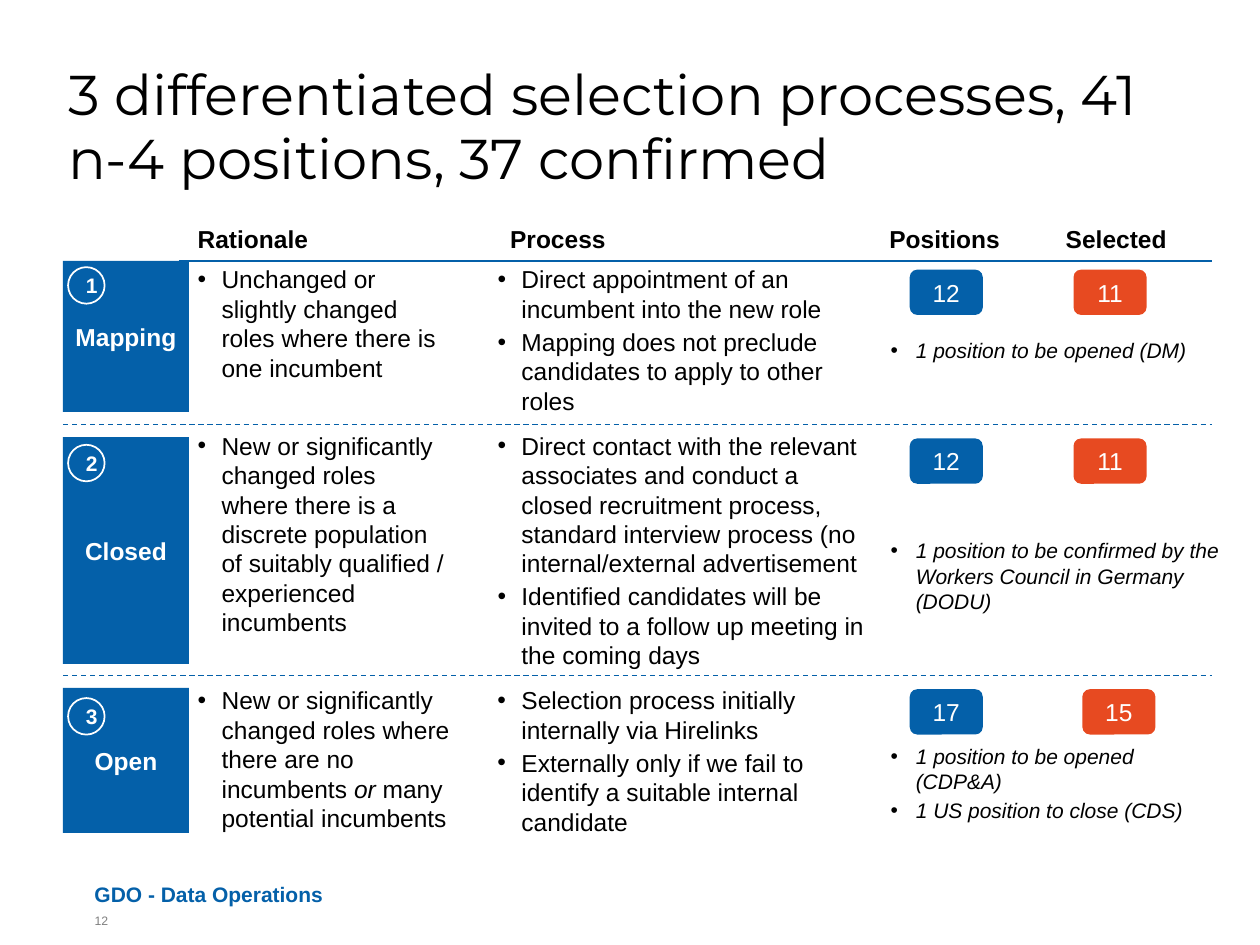
from collections import namedtuple

from lxml.etree import SubElement
from pptx import Presentation
from pptx.dml.color import RGBColor
from pptx.enum.dml import MSO_LINE_DASH_STYLE as Dash
from pptx.enum.shapes import MSO_CONNECTOR as Connector, MSO_SHAPE as Shape
from pptx.enum.text import MSO_ANCHOR as Anchor, MSO_AUTO_SIZE as AutoSize, PP_ALIGN as Align
from pptx.oxml.ns import qn
from pptx.util import Pt

SCALE = 9144  # EMU per px, 100 px to the inch
BLUE, ORANGE = "0460A9", "E74A21"
BLACK, WHITE, GREY = "000000", "FFFFFF", "7F7F7F"

# Column positions
LABEL_X, RATIONALE_X, PROCESS_X, NOTE_X = 50, 147, 385, 697
RULE_END = 962

HEADERS = [("Rationale", 147, 145), ("Process", 395, 169),
           ("Positions", 696, 112), ("Selected", 836, 112)]

# top, height and number_top place the blue label; note is (top, width, items)
Row = namedtuple("Row", "name top height number_top text_top rationale rationale_width "
                        "process process_width badge_top positions selected selected_x note")
ROWS = [
    Row("Mapping", 207, 120, 212, 205,
        ["Unchanged or slightly changed roles where there is one incumbent"], 217,
        ["Direct appointment of an incumbent into the new role",
         "Mapping does not preclude candidates to apply to other roles"], 289,
        214, "12", "11", 852,
        (263, 265, ["1 position to be opened (DM)"])),
    Row("Closed", 347, 180, 353, 337,
        ["New or significantly changed roles where there is a discrete population "
         "of suitably qualified / experienced incumbents"], 217,
        ["Direct contact with the relevant associates and conduct a closed recruitment "
         "process, standard interview process (no internal/external advertisement",
         "Identified candidates will be invited to a follow up meeting in the coming days"], 311,
        348, "12", "11", 852,
        (422, 287, ["1 position to be confirmed by the Workers Council in Germany (DODU)"])),
    Row("Open", 546, 115, 554, 539,
        ["New or significantly changed roles where there are no incumbents "
         "*or* many potential incumbents"], 221,
        ["Selection process initially internally via Hirelinks",
         "Externally only if we fail to identify a suitable internal candidate"], 323,
        547, "17", "15", 859,
        (585, 260, ["1 position to be opened (CDP&A)", "1 US position to close (CDS)"])),
]


def px(*lengths):
    return [length * SCALE for length in lengths]


def colour(value):
    return RGBColor.from_string(value)


def style(span, size, ink, bold=False, italic=False, font="Arial"):
    span.font.name = font
    span.font.size = Pt(size)
    span.font.bold = bold
    span.font.italic = italic
    span.font.color.rgb = colour(ink)


def set_insets(frame, inset):
    frame.margin_left, frame.margin_top, frame.margin_right, frame.margin_bottom = px(*[inset] * 4)


def add_title(page, text):
    title = page.shapes.title
    title.left, title.top, title.width, title.height = px(54, 51, 913, 54)
    frame = title.text_frame
    frame.text = text
    frame.auto_size = AutoSize.NONE
    frame.vertical_anchor = Anchor.TOP
    set_insets(frame, 0)
    para = frame.paragraphs[0]
    para.alignment = Align.LEFT
    para.line_spacing = 0.95
    style(para.runs[0], 32, BLACK, font="Montserrat")


def add_text(page, area, text, size, ink, bold=False, inset=None, anchor=Anchor.TOP):
    frame = page.shapes.add_textbox(*px(*area)).text_frame
    frame.word_wrap = True
    frame.vertical_anchor = anchor
    if inset is not None:
        set_insets(frame, inset)
    frame.text = text
    style(frame.paragraphs[0].runs[0], size, ink, bold)


def add_list(page, area, items, size, indent, italic=False):
    """Bulleted text; a part between asterisks is italic."""
    frame = page.shapes.add_textbox(*px(*area)).text_frame
    frame.word_wrap = True
    frame.auto_size = AutoSize.SHAPE_TO_FIT_TEXT
    for index, item in enumerate(items):
        para = frame.paragraphs[0] if index == 0 else frame.add_paragraph()
        para.space_after = Pt(2)
        for part, text in enumerate(item.split("*")):
            span = para.add_run()
            span.text = text
            style(span, size, BLACK, italic=italic or part % 2 == 1)
        properties = para._p.get_or_add_pPr()
        properties.set("marL", str(indent * SCALE))
        properties.set("indent", str(-indent * SCALE))
        SubElement(properties, qn("a:buFont")).set("typeface", "Arial")
        SubElement(properties, qn("a:buChar")).set("char", "•")


def add_block(page, kind, area, text, size, fill, bold=False, outline=None, inset=None):
    block = page.shapes.add_shape(kind, *px(*area))
    block.shadow.inherit = False
    block.fill.solid()
    block.fill.fore_color.rgb = colour(fill)
    if outline:
        block.line.color.rgb = colour(outline)
        block.line.width = Pt(1)
    else:
        block.line.fill.background()
    frame = block.text_frame
    frame.vertical_anchor = Anchor.MIDDLE
    if inset is not None:
        set_insets(frame, inset)
    frame.text = text
    frame.paragraphs[0].alignment = Align.CENTER
    style(frame.paragraphs[0].runs[0], size, WHITE, bold)


def add_rule(page, start, top, width, dash=None):
    rule = page.shapes.add_connector(Connector.STRAIGHT, *px(start, top, RULE_END, top))
    rule.line.color.rgb = colour(BLUE)
    rule.line.width = Pt(width)
    if dash:
        rule.line.dash_style = dash
    SubElement(rule._element.spPr, qn("a:effectLst"))


def add_row(page, number, row):
    # Label and its number
    add_block(page, Shape.RECTANGLE, (LABEL_X, row.top, 100, row.height),
              row.name, 14, BLUE, bold=True, inset=5)
    add_block(page, Shape.OVAL, (54, row.number_top, 29, 29),
              str(number), 12, BLUE, bold=True, outline=WHITE)
    # Rationale and process
    add_list(page, (RATIONALE_X, row.text_top, row.rationale_width, row.height),
             row.rationale, 14, 19)
    add_list(page, (PROCESS_X, row.text_top, row.process_width, row.height),
             row.process, 14, 19)
    # Counts and the note below them
    for left, count, fill in ((722, row.positions, BLUE), (row.selected_x, row.selected, ORANGE)):
        add_block(page, Shape.ROUNDED_RECTANGLE, (left, row.badge_top, 58, 36), count, 14, fill)
    top, width, items = row.note
    add_list(page, (NOTE_X, top, width, 30), items, 12, 20, italic=True)


def main():
    deck = Presentation()
    deck.slide_width, deck.slide_height = px(1000, 750)
    page = deck.slides.add_slide(deck.slide_layouts[5])
    add_title(page, "3 differentiated selection processes, 41 n-4 positions, 37 confirmed")

    # Column headings
    for text, left, width in HEADERS:
        add_text(page, (left, 173, width, 34), text, 14, BLACK, bold=True)

    # Selection processes
    for number, row in enumerate(ROWS, 1):
        add_row(page, number, row)

    # Rules under the headings and between the rows
    add_rule(page, 142, 207, 1)
    for top in (337, 536):
        add_rule(page, LABEL_X, top, 0.75, Dash.DASH)

    # Footer
    add_text(page, (75, 695, 650, 25), "GDO - Data Operations", 12, BLUE,
             bold=True, inset=0, anchor=Anchor.BOTTOM)
    add_text(page, (75, 725, 25, 25), "12", 7, GREY, inset=0)
    deck.save("out.pptx")


if __name__ == "__main__":
    main()
